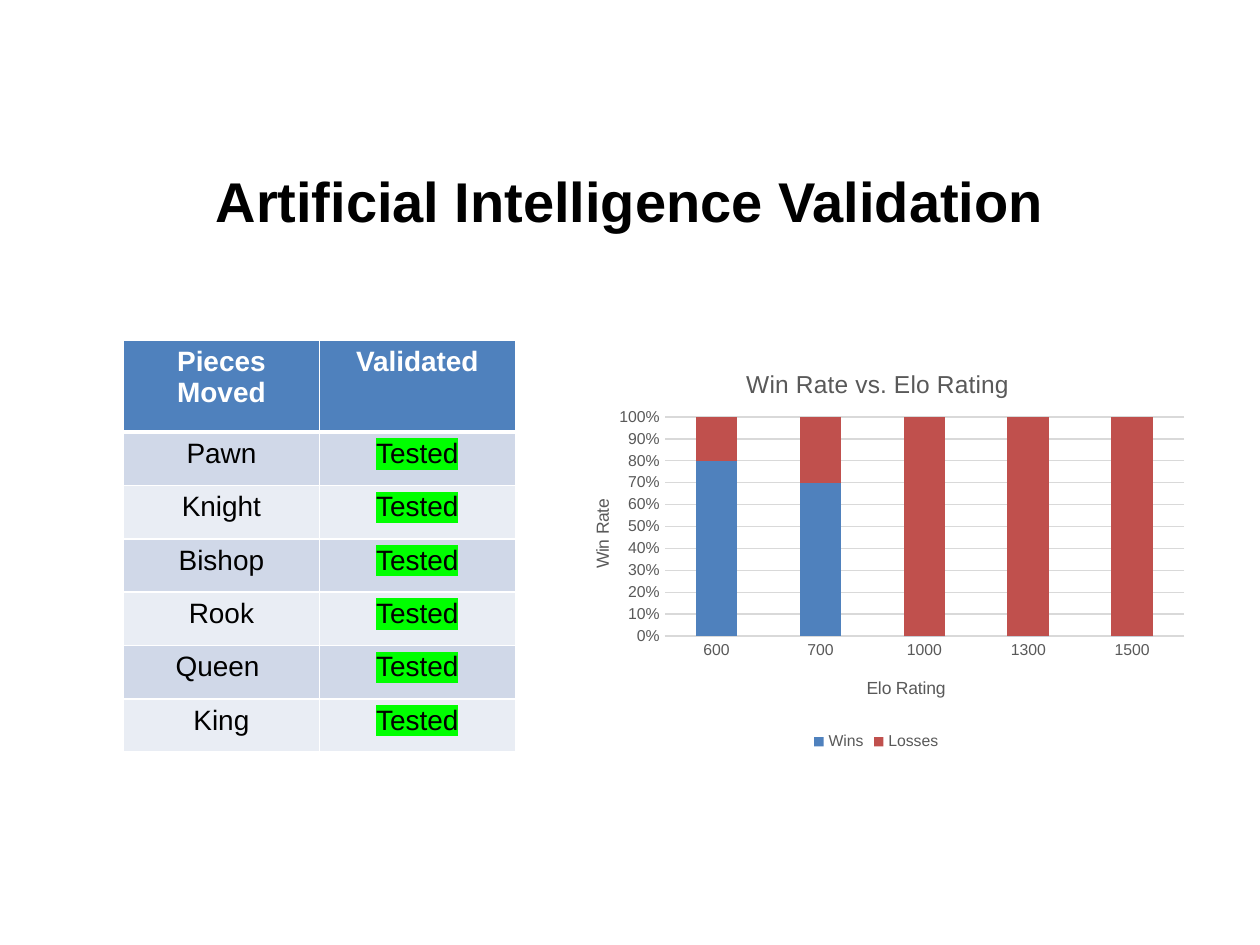
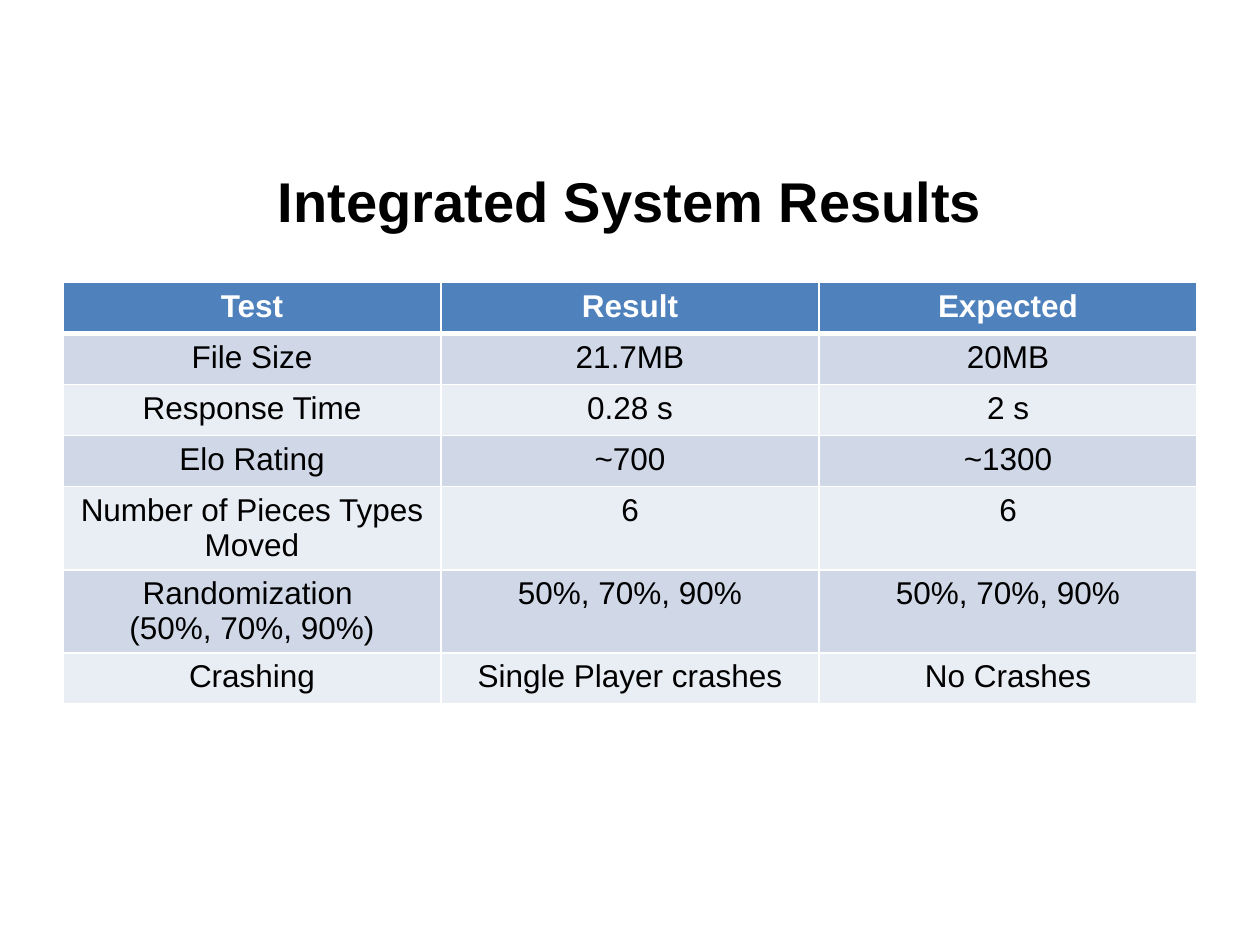
from dataclasses import dataclass

from lxml.etree import SubElement as Sub
from pptx import Presentation
from pptx.chart.data import CategoryChartData as ChartData
from pptx.dml.color import RGBColor as RGB
from pptx.enum.chart import XL_CHART_TYPE as Kind
from pptx.enum.chart import XL_LEGEND_POSITION as Legend
from pptx.enum.chart import XL_TICK_MARK as Tick
from pptx.enum.text import MSO_ANCHOR as Anchor
from pptx.enum.text import PP_ALIGN as Align
from pptx.oxml import parse_xml
from pptx.oxml.ns import nsdecls, qn
from pptx.util import Inches, Pt


@dataclass(frozen=True)
class Theme:
    font: str = "Arial"
    ink: str = "000000"
    paper: str = "FFFFFF"
    head: str = "4F81BD"
    bands: tuple = ("D0D8E8", "E9EDF4")
    mark: str = "00FF00"
    series: tuple = ("4F81BD", "C0504D")
    label: str = "595959"
    rule: str = "D9D9D9"
    title: int = 32
    chart: int = 14
    axis: int = 10
    tick: int = 9


THEME = Theme()
WIDTH, HEIGHT = Inches(10), Inches(7.5)
COL, ROW = WIDTH // 20, HEIGHT // 15


def area(left, top, wide, high):
    """Turn grid columns and rows into slide lengths."""
    return [round(n) for n in (left * COL, top * ROW, wide * COL, high * ROW)]


def style(font, size, color=THEME.ink, bold=False):
    font.name = THEME.font
    font.size = Pt(size)
    font.bold = bold
    font.color.rgb = RGB.from_string(color)


def add_run(para, text, size, color=THEME.ink, bold=False):
    run = para.add_run()
    run.text = text
    style(run.font, size, color, bold)
    return run


def add_title(slide, text):
    title = slide.shapes.title
    title.left, title.top, title.width, title.height = area(1, 2.3, 18, 1.76)
    frame = title.text_frame
    frame.vertical_anchor = Anchor.MIDDLE
    para = frame.paragraphs[0]
    para.alignment = Align.CENTER
    add_run(para, text, THEME.title, bold=True)


def highlight(run):
    props = run.font._element
    mark = Sub(props, qn("a:highlight"))
    Sub(mark, qn("a:srgbClr"), val=THEME.mark)
    props.find(qn("a:latin")).addprevious(mark)


def add_edges(cell, top, bottom):
    """Draw white cell borders; top and bottom are widths in points."""
    props = cell._tc.get_or_add_tcPr()
    for tag, size in (("L", 1), ("R", 1), ("T", top), ("B", bottom)):
        line = Sub(props, qn(f"a:ln{tag}"), w=str(Pt(size)))
        fill = Sub(line, qn("a:solidFill"))
        Sub(fill, qn("a:srgbClr"), val=THEME.paper)


def fill_cell(cell, text, row, size, marked):
    head = row == 0
    add_edges(cell, 3 if row == 1 else 1, 3 if head else 1)
    cell.fill.solid()
    shade = THEME.head if head else THEME.bands[(row - 1) % 2]
    cell.fill.fore_color.rgb = RGB.from_string(shade)
    frame = cell.text_frame
    for i, line in enumerate(text.split("\n")):
        para = frame.add_paragraph() if i else frame.paragraphs[0]
        para.alignment = Align.CENTER
        run = add_run(para, line, size, THEME.paper if head else THEME.ink, head)
        if text == marked:
            highlight(run)


def add_table(slide, rows, place, size, head=None, marked=None):
    """Add a banded table; head is the grid height of a taller first row."""
    shape = slide.shapes.add_table(len(rows), len(rows[0]), *area(*place))
    table = shape.table
    if head:
        table.rows[0].height = round(head * ROW)
        rest = round((place[3] - head) * ROW / (len(rows) - 1))
        for line in list(table.rows)[1:]:
            line.height = rest
    for r, texts in enumerate(rows):
        for c, text in enumerate(texts):
            fill_cell(table.cell(r, c), text, r, size, marked)


def set_layout(parent, index, **shares):
    """Fix a chart part at shares of the chart's size."""
    for old in parent.findall(qn("c:layout")):
        parent.remove(old)
    layout = parse_xml(f"<c:layout {nsdecls('c')}><c:manualLayout/></c:layout>")
    manual = layout[0]
    if "w" in shares:
        Sub(manual, qn("c:layoutTarget"), val="inner")
    for key in "xy":
        Sub(manual, qn(f"c:{key}Mode"), val="edge")
    for key, share in shares.items():
        Sub(manual, qn(f"c:{key}"), val=str(share))
    parent.insert(index, layout)


def set_name(title, text, size, x, y):
    add_run(title.text_frame.paragraphs[0], text, size, THEME.label)
    set_layout(title._element, 1, x=x, y=y)


def set_axis(axis, text, x, y):
    axis.major_tick_mark = axis.minor_tick_mark = Tick.NONE
    style(axis.tick_labels.font, THEME.tick, THEME.label)
    set_name(axis.axis_title, text, THEME.axis, x, y)


def set_line(line):
    line.color.rgb = RGB.from_string(THEME.rule)
    line.width = Pt(0.75)


def add_chart(slide, name, cats, series, place):
    data = ChartData()
    data.categories = cats
    for label, values in series.items():
        data.add_series(label, values)
    shape = slide.shapes.add_chart(Kind.COLUMN_STACKED_100, *area(*place), data)
    chart = shape.chart
    style(chart.font, THEME.axis)
    set_name(chart.chart_title, name, THEME.chart, 0.29, 0.05)

    plot = chart.plots[0]
    plot.gap_width, plot.overlap, plot.vary_by_categories = 150, 100, False
    for bar, color in zip(plot.series, THEME.series):
        bar.format.fill.solid()
        bar.format.fill.fore_color.rgb = RGB.from_string(color)
    set_layout(plot._element.getparent(), 0, x=0.17, y=0.18, w=0.81, h=0.53)

    set_axis(chart.category_axis, "Elo Rating", 0.48, 0.8)
    set_line(chart.category_axis.format.line)
    rate = chart.value_axis
    set_axis(rate, "Win Rate", 0.05, 0.37)
    rate.format.line.fill.background()
    rate.major_unit = 0.1
    rate.tick_labels.number_format = "0%"
    rate.tick_labels.number_format_is_linked = False
    set_line(rate.major_gridlines.format.line)

    chart.has_legend = True
    chart.legend.position = Legend.BOTTOM
    chart.legend.include_in_layout = False
    style(chart.legend.font, THEME.tick, THEME.label)


def add_slide(deck, title):
    slide = deck.slides.add_slide(deck.slide_layouts[5])
    add_title(slide, title)
    return slide


def main():
    deck = Presentation()
    deck.slide_width, deck.slide_height = WIDTH, HEIGHT

    slide = add_slide(deck, "Artificial Intelligence Validation")
    pieces = ["Pawn", "Knight", "Bishop", "Rook", "Queen ", "King"]
    rows = [("Pieces Moved", "Validated")] + [(p, "Tested") for p in pieces]
    add_table(slide, rows, (1.96, 5.4, 6.22, 6.54), 16, head=1.46, marked="Tested")
    add_chart(
        slide,
        "Win Rate vs. Elo Rating",
        ["600", "700", "1000", "1300", "1500"],
        {"Wins": (80, 70, 0, 0, 0), "Losses": (20, 30, 100, 100, 100)},
        (8.82, 5.44, 10.18, 6.56),
    )

    slide = add_slide(deck, "Integrated System Results")
    rows = [
        ("Test", "Result", "Expected"),
        ("File Size", "21.7MB", "20MB"),
        ("Response Time", "0.28 s", "2 s"),
        ("Elo Rating", "~700", "~1300"),
        ("Number of Pieces Types Moved", "6", "6"),
        ("Randomization \n(50%, 70%, 90%)", "50%, 70%, 90%", "50%, 70%, 90%"),
        ("Crashing", "Single Player crashes", "No Crashes"),
    ]
    add_table(slide, rows, (1, 4.48, 18, 5.68), 18)

    deck.save("out.pptx")


if __name__ == "__main__":
    main()
